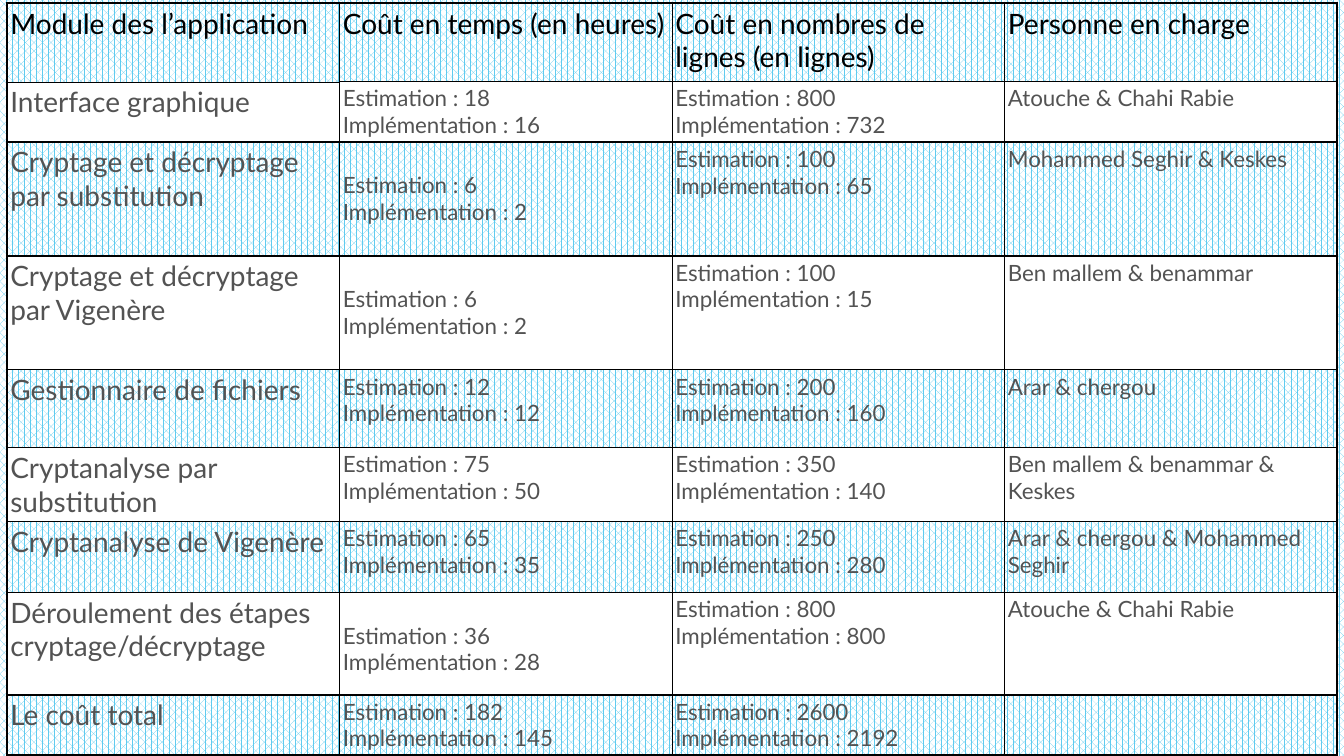
from lxml import etree
from pptx import Presentation
from pptx.dml.color import RGBColor
from pptx.enum import dml
from pptx.oxml import ns
from pptx.util import Cm, Pt

BLACK = RGBColor(0, 0, 0)
GREY = RGBColor(0x53, 0x53, 0x53)
WHITE = RGBColor(255, 255, 255)
BLUE = RGBColor(0x5F, 0xCB, 0xEF)

HEADS = ["Module des l’application", "Coût en temps (en heures)",
         "Coût en nombres de lignes (en lignes)", "Personne en charge"]
TASKS = [
    ("Interface graphique", (18, 16), (800, 732), "Atouche & Chahi Rabie"),
    ("Cryptage et décryptage par substitution", (6, 2), (100, 65),
     "Mohammed Seghir & Keskes"),
    ("Cryptage et décryptage par Vigenère", (6, 2), (100, 15),
     "Ben mallem & benammar"),
    ("Gestionnaire de fichiers", (12, 12), (200, 160), "Arar & chergou"),
    ("Cryptanalyse par substitution", (75, 50), (350, 140),
     "Ben mallem & benammar & Keskes"),
    ("Cryptanalyse de Vigenère", (65, 35), (250, 280),
     "Arar & chergou & Mohammed Seghir"),
    ("Déroulement des étapes cryptage/décryptage", (36, 28), (800, 800),
     "Atouche & Chahi Rabie"),
    ("Le coût total", (182, 145), (2600, 2192), ""),
]
HEIGHTS = [1.98, 1.52, 2.87, 2.87, 1.96, 1.84, 1.78, 2.59, 1.52]
LOWERED = {2, 3, 7}
WIDTH = 8.38
INSET = 0.08
LINE = 0.67


def paint(slide):
    fill = slide.background.fill
    fill.patterned()
    fill.pattern = dml.MSO_PATTERN.PERCENT_60
    fill.fore_color.rgb = BLUE
    fill.back_color.rgb = WHITE


def border(cell, sides):
    props = cell._tc.get_or_add_tcPr()
    for side, width in sides.items():
        line = etree.SubElement(props, ns.qn("a:ln" + side), w=str(Pt(width)))
        solid = etree.SubElement(line, ns.qn("a:solidFill"))
        etree.SubElement(solid, ns.qn("a:srgbClr"), val=str(BLACK))


def edges(row, col):
    top = 2 if row == 0 else 1
    base = 2 if row == len(TASKS) else 1
    if col == 0 and row == 0:
        base = 0.25
    if col == 0 and row == 1:
        top = 0.25
    return {"L": 2 if col == 0 else 1,
            "R": 2 if col == len(HEADS) - 1 else 1,
            "T": top, "B": base}


def write(cell, words, size, color):
    cell.text = words
    for para in cell.text_frame.paragraphs:
        para.font.name = "Lato"
        para.font.size = Pt(size)
        para.font.color.rgb = color


def dress(cell, row, col):
    cell.margin_left = cell.margin_right = Cm(INSET)
    cell.margin_top = cell.margin_bottom = Cm(INSET)
    if col == 1 and row in LOWERED:
        cell.margin_top = Cm(INSET + LINE)
    border(cell, edges(row, col))
    if row % 2:
        cell.fill.solid()
        cell.fill.fore_color.rgb = WHITE
    else:
        cell.fill.background()


def costs(pair):
    return "Estimation : {}\nImplémentation : {}".format(*pair)


def add_grid(slide):
    rows = [HEADS] + [(name, costs(time), costs(size), who)
                      for name, time, size, who in TASKS]
    frame = slide.shapes.add_table(len(rows), len(HEADS), Cm(0.18), Cm(0.08),
                                   Cm(WIDTH * len(HEADS)), Cm(sum(HEIGHTS)))
    table = frame.table
    table.first_row = table.horz_banding = False
    for column in table.columns:
        column.width = Cm(WIDTH)
    for row, items in enumerate(rows):
        table.rows[row].height = Cm(HEIGHTS[row])
        for col, words in enumerate(items):
            cell = table.cell(row, col)
            size = 20 if row == 0 or col == 0 else 16
            write(cell, words, size, GREY if row else BLACK)
            dress(cell, row, col)


def main():
    deck = Presentation()
    deck.slide_width, deck.slide_height = Cm(33.87), Cm(19.05)
    slide = deck.slides.add_slide(deck.slide_layouts[6])
    paint(slide)
    add_grid(slide)
    deck.save("out.pptx")


if __name__ == "__main__":
    main()
